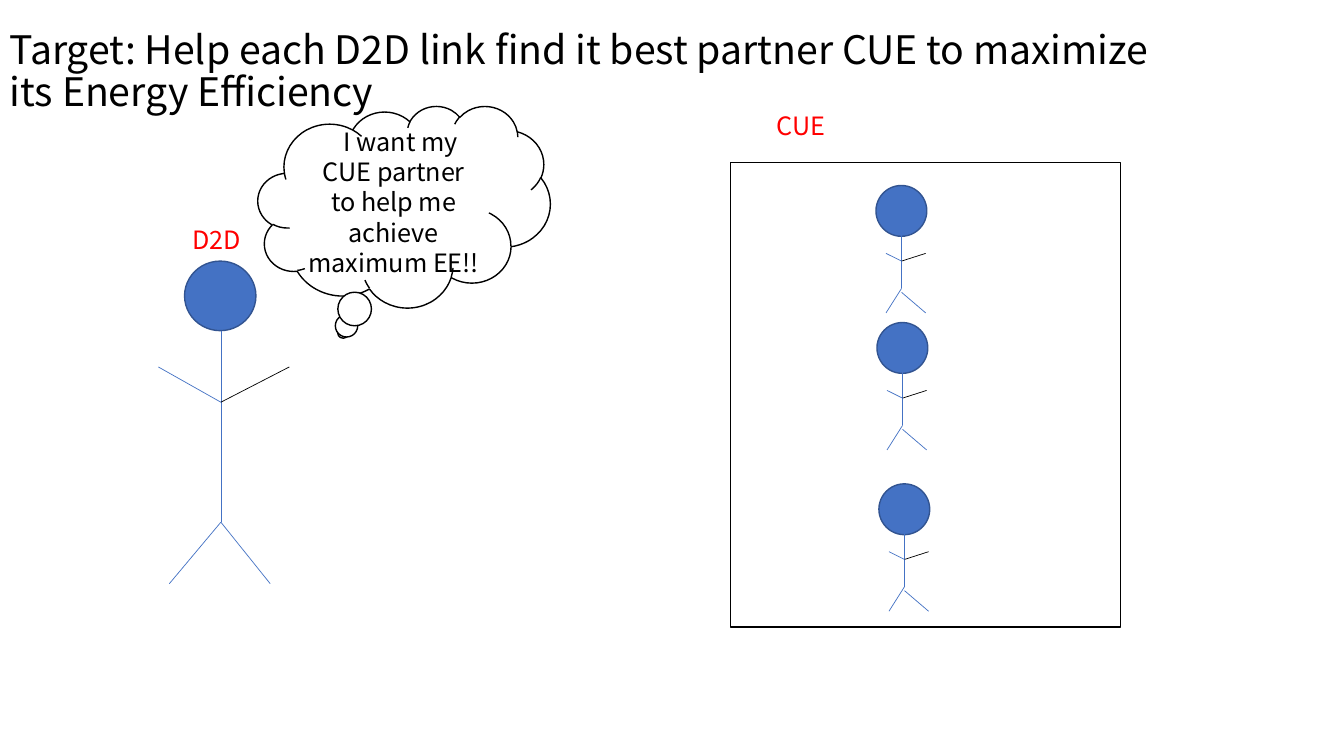
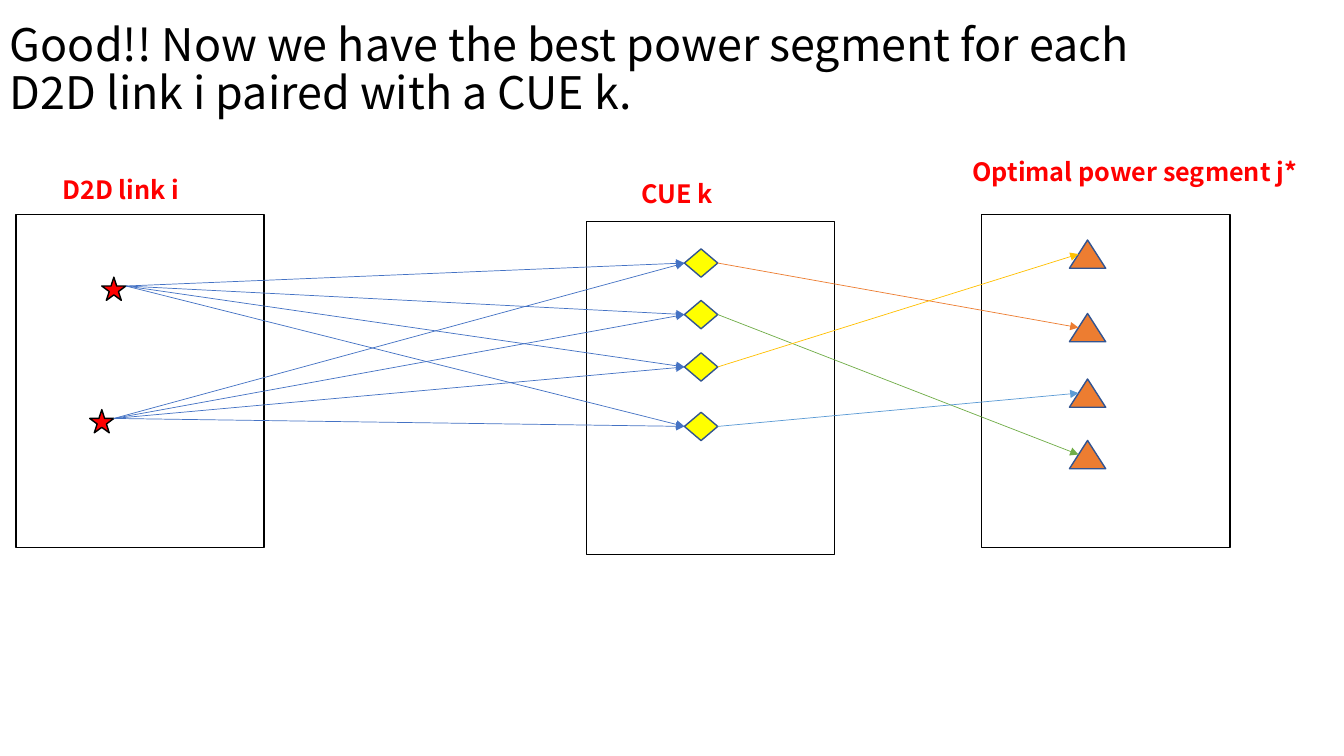
"""Build two slides on pairing D2D links with CUE partners."""
from dataclasses import dataclass

from lxml import etree
from pptx import Presentation
from pptx.dml.color import RGBColor
from pptx.enum import shapes as es, text as et
from pptx.oxml import ns
from pptx.util import Pt

FONT = "Noto Sans CJK SC"
BLACK = RGBColor(0x00, 0x00, 0x00)
WHITE = RGBColor(0xFF, 0xFF, 0xFF)
RED = RGBColor(0xFF, 0x00, 0x00)
YELLOW = RGBColor(0xFF, 0xFF, 0x00)
BLUE = RGBColor(0x44, 0x72, 0xC4)
NAVY = RGBColor(0x32, 0x54, 0x91)
ORANGE = RGBColor(0xED, 0x7D, 0x31)
GREEN = RGBColor(0x70, 0xAD, 0x47)
GOLD = RGBColor(0xFF, 0xC0, 0x00)
SKY = RGBColor(0x5B, 0x9B, 0xD5)
KIND = es.MSO_SHAPE


@dataclass(frozen=True)
class Box:
    left: float
    top: float
    width: float
    height: float

    def lengths(self) -> tuple:
        return Pt(self.left), Pt(self.top), Pt(self.width), Pt(self.height)

    def at(self, across: float, down: float) -> tuple:
        return self.left + across * self.width, self.top + down * self.height


@dataclass(frozen=True)
class Build:
    """Proportions of a stick figure, measured from the head's top left."""
    head_width: float
    head_height: float
    spine: float
    neck: float
    shoulder: float
    hip: float
    right_hip: float
    hands: tuple
    hand_level: float
    feet: tuple
    foot_level: float


@dataclass(frozen=True)
class Group:
    heading: str
    heading_box: Box
    frame: Box


@dataclass(frozen=True)
class Choice:
    cue: int
    segment: int
    color: RGBColor


TALL = Build(51, 49.7, 26, 49.7, 100.8, 186.5, 186.5, (-18.7, 74.9), 75.6, (-10.8, 61.2), 230.4)
SMALL = Build(36.3, 36.3, 18.3, 33.5, 54, 73.5, 76.3, (7.2, 35.5), 48.5, (7.2, 35.5), 91)
D2D_HEAD = (131.8, 186.5)
CUE_HEADS = [(625.7, 132.5), (626.4, 230.4), (627.8, 345.6)]

GROUPS = [
    Group("D2D link i", Box(37.4, 121, 111.6, 28.8), Box(11.5, 153.4, 177.2, 237.6)),
    Group("CUE k", Box(451.4, 123.8, 111.6, 28.8), Box(419, 158.4, 177.2, 237.6)),
    Group("Optimal power segment j*", Box(687.6, 108, 263.5, 28.8), Box(701.3, 153.4, 177.2, 237.6)),
]
LINKS = [Box(72.7, 198, 17.3, 16.6), Box(64.1, 292.6, 17.3, 16.6)]
CUES = [Box(488.9, top, 23.8, 20.2) for top in (177.8, 214.6, 252, 294.5)]
SEGMENTS = [Box(763.9, top, 25.9, 20.2) for top in (171.4, 223.9, 270.7, 314.6)]
CHOICES = [Choice(0, 1, ORANGE), Choice(1, 3, GREEN), Choice(2, 0, GOLD), Choice(3, 2, SKY)]


def write(frame, wording: str, size: float, color: RGBColor, bold: bool = False):
    frame.word_wrap = True
    paragraph = frame.paragraphs[0]
    paragraph.text = wording
    font = paragraph.font
    font.name, font.size, font.bold = FONT, Pt(size), bold
    font.color.rgb = color
    return paragraph


def add_label(slide, box: Box, wording: str, size: float = 18, color: RGBColor = RED, bold: bool = False):
    label = slide.shapes.add_textbox(*box.lengths())
    return label.text_frame, write(label.text_frame, wording, size, color, bold)


def add_title(slide, wording: str, size: float, top: float) -> None:
    frame, paragraph = add_label(slide, Box(0, top, 828, 104.4), wording, size, BLACK)
    frame.vertical_anchor = et.MSO_ANCHOR.MIDDLE
    paragraph.line_spacing = 0.9


def add_figure(slide, kind, box: Box, fill: RGBColor = WHITE, outline: RGBColor = BLACK):
    figure = slide.shapes.add_shape(kind, *box.lengths())
    figure.shadow.inherit = False
    figure.fill.solid()
    figure.fill.fore_color.rgb = fill
    figure.line.color.rgb = outline
    figure.line.width = Pt(1)
    return figure


def add_line(slide, start: tuple, end: tuple, color: RGBColor = BLUE, arrow: bool = False):
    line = slide.shapes.add_connector(
        es.MSO_CONNECTOR.STRAIGHT, *(Pt(value) for value in (*start, *end)))
    line.line.color.rgb = color
    line.line.width = Pt(0.5)
    if arrow:
        etree.SubElement(line.line._get_or_add_ln(), ns.qn("a:tailEnd"), type="triangle")
    etree.SubElement(line._element.spPr, ns.qn("a:effectLst"))
    return line


def add_person(slide, head: tuple, build: Build) -> None:
    x, y = head
    add_figure(slide, KIND.OVAL, Box(x, y, build.head_width, build.head_height), BLUE, NAVY)
    spine = x + build.spine
    shoulder = (spine, y + build.shoulder)
    left_hand, right_hand = build.hands
    left_foot, right_foot = build.feet
    add_line(slide, (spine, y + build.neck), (spine, y + build.hip))
    add_line(slide, shoulder, (x + right_hand, y + build.hand_level), BLACK)
    add_line(slide, shoulder, (x + left_hand, y + build.hand_level))
    add_line(slide, (spine, y + build.hip), (x + left_foot, y + build.foot_level))
    add_line(slide, (spine, y + build.right_hip), (x + right_foot, y + build.foot_level))


def build_target(slide) -> None:
    add_title(slide, "Target: Help each D2D link find it best partner CUE to maximize "
              "its Energy Efficiency", 28, 0)
    add_person(slide, D2D_HEAD, TALL)
    add_figure(slide, KIND.RECTANGLE, Box(522, 115.9, 278.6, 331.9))
    for head in CUE_HEADS:
        add_person(slide, head, SMALL)
    add_label(slide, Box(547.9, 75.6, 207.4, 28.8), "CUE")
    add_label(slide, Box(130.3, 157, 156.2, 28.8), "D2D")
    thought = add_figure(slide, KIND.CLOUD_CALLOUT, Box(184.3, 75.6, 208.8, 144))
    thought.text_frame.vertical_anchor = et.MSO_ANCHOR.MIDDLE
    wish = write(thought.text_frame, "I want my CUE partner to help me achieve maximum EE!!", 18, BLACK)
    wish.alignment = et.PP_ALIGN.CENTER
    wish._p.get_or_add_pPr().set("indent", str(Pt(10)))


def build_pairing(slide) -> None:
    add_title(slide, "Good!! Now we have the best power segment for each D2D link i "
              "paired with a CUE k.", 32, -1.4)
    for group in GROUPS:
        add_figure(slide, KIND.RECTANGLE, group.frame)
        add_label(slide, group.heading_box, group.heading, bold=True)
    for link in LINKS:
        add_figure(slide, KIND.STAR_5_POINT, link, RED)
    diamonds = [add_figure(slide, KIND.FLOWCHART_DECISION, cue, YELLOW, NAVY) for cue in CUES]
    for segment in SEGMENTS:
        add_figure(slide, KIND.ISOSCELES_TRIANGLE, segment, ORANGE, NAVY)
    for link in LINKS:
        for cue, diamond in zip(CUES, diamonds):
            candidate = add_line(slide, link.at(1, 0.38), cue.at(0, 0.5), arrow=True)
            candidate.end_connect(diamond, 1)
    for choice in CHOICES:
        best = add_line(slide, CUES[choice.cue].at(1, 0.5),
                        SEGMENTS[choice.segment].at(0.25, 0.5), choice.color, arrow=True)
        best.begin_connect(diamonds[choice.cue], 3)


def main() -> None:
    deck = Presentation()
    deck.slide_width, deck.slide_height = Pt(960), Pt(540)
    for build in (build_target, build_pairing):
        build(deck.slides.add_slide(deck.slide_layouts[6]))
    deck.save("out.pptx")


if __name__ == "__main__":
    main()
